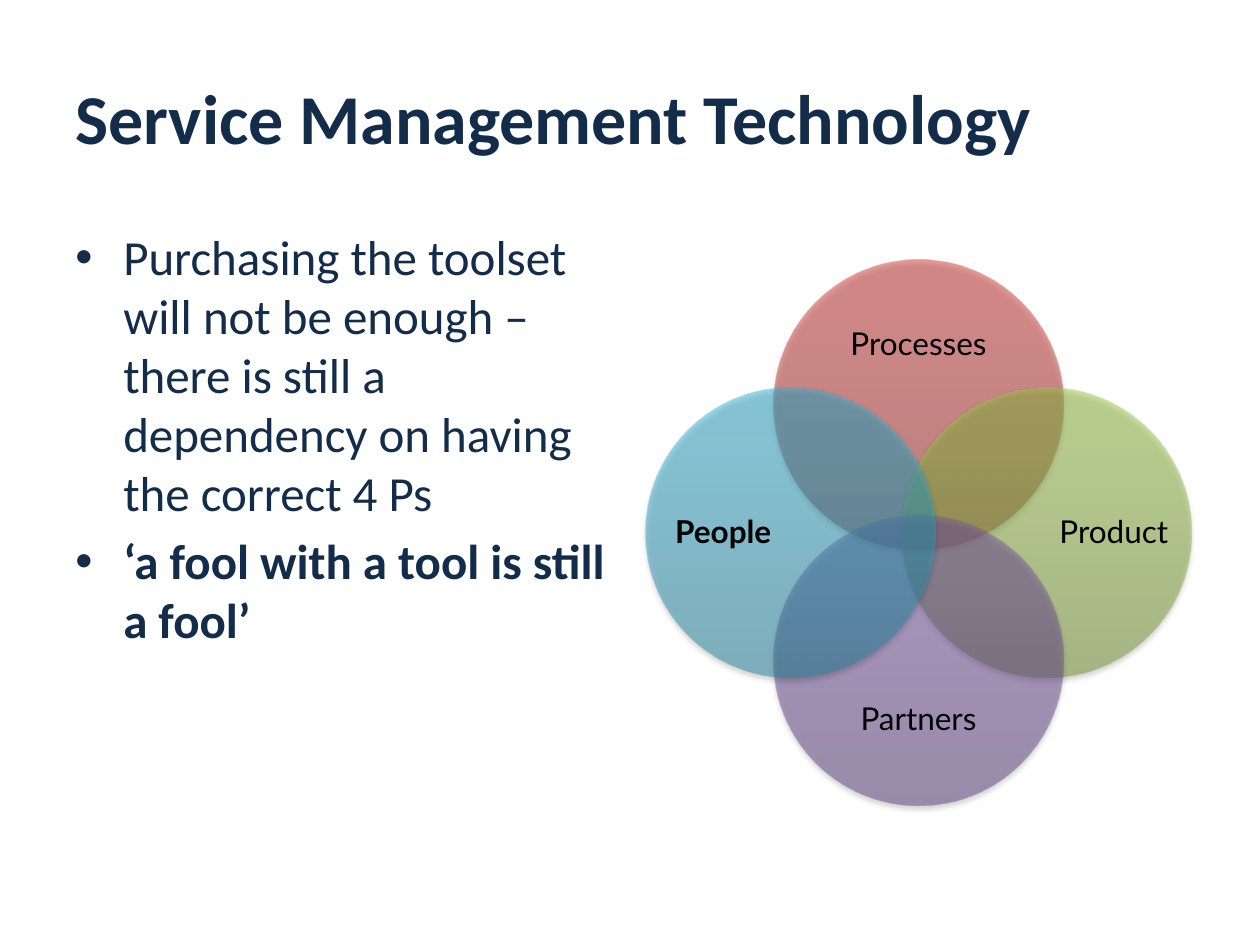
from dataclasses import dataclass

from lxml import etree
from pptx import Presentation
from pptx.dml.color import RGBColor
from pptx.enum.shapes import MSO_SHAPE
from pptx.enum.text import MSO_ANCHOR, PP_ALIGN
from pptx.oxml import parse_xml
from pptx.oxml.ns import nsdecls, qn
from pptx.util import Inches, Pt

OVAL = MSO_SHAPE.OVAL
TOP, MIDDLE = MSO_ANCHOR.TOP, MSO_ANCHOR.MIDDLE
LEFT, CENTER = PP_ALIGN.LEFT, PP_ALIGN.CENTER

# The page is a grid of 100 columns and 75 rows.
COLUMNS, ROWS = 100, 75
CELL = Inches(0.1)


@dataclass(frozen=True)
class Theme:
    navy: str = "132C4A"
    black: str = "000000"
    red: tuple = ("9C2F2D", "CB3E3A", "CE3B37")
    green: tuple = ("779737", "9BC348", "9DC746")
    purple: tuple = ("5F4480", "7B58A6", "7C57A8")
    blue: tuple = ("2A88A2", "37B1D2", "34B4D6")
    text_font: str = "Calibri"
    label_font: str = "Lato"
    title_size: float = 40
    body_size: float = 28
    label_size: float = 18


class SlideBuilder:
    def __init__(self, page, theme):
        self.page = page
        self.theme = theme

    def text_box(self, shapes, area, anchor, inset=True):
        box = shapes.add_textbox(*(round(n * CELL) for n in area))
        frame = box.text_frame
        frame.word_wrap = True
        frame.vertical_anchor = anchor
        if not inset:
            frame.margin_left = frame.margin_right = 0
            frame.margin_top = frame.margin_bottom = 0
        return frame

    def add_span(self, para, text, size, font, color, bold=False, align=LEFT):
        para.alignment = align
        span = para.add_run()
        span.text = text
        span.font.size = Pt(size)
        span.font.name = font
        span.font.bold = bold
        span.font.color.rgb = RGBColor.from_string(color)

    def title(self, text, area):
        frame = self.text_box(self.page.shapes, area, MIDDLE)
        self.add_span(frame.paragraphs[0], text, self.theme.title_size,
                      self.theme.text_font, self.theme.navy, bold=True)

    def bullets(self, items, area):
        frame = self.text_box(self.page.shapes, area, TOP)
        for index, (text, bold) in enumerate(items):
            para = frame.add_paragraph() if index else frame.paragraphs[0]
            para.space_before = Pt(0.2 * self.theme.body_size)
            self.add_span(para, text, self.theme.body_size,
                          self.theme.text_font, self.theme.navy, bold)
            props = para._p.get_or_add_pPr()
            props.set("marL", str(Inches(0.38)))
            props.set("indent", str(-Inches(0.38)))
            etree.SubElement(props, qn("a:buFont")).set("typeface", "Arial")
            etree.SubElement(props, qn("a:buChar")).set("char", "•")

    def circle(self, shapes, center, radius, colors):
        """Draw a half-transparent circle, shaded from the bottom up."""
        x, y = center
        area = (x - radius, y - radius, 2 * radius, 2 * radius)
        shape = shapes.add_shape(OVAL, *(round(n * CELL) for n in area))
        shape.line.fill.background()
        shape.fill.background()
        shape.shadow.inherit = False
        stops = "".join(
            f'<a:gs pos="{share * 1000}"><a:srgbClr val="{color}">'
            f'<a:alpha val="50000"/></a:srgbClr></a:gs>'
            for share, color in zip((0, 80, 100), colors))
        props = shape._element.spPr
        props.replace(props.find(qn("a:noFill")), parse_xml(
            f'<a:gradFill {nsdecls("a")} rotWithShape="1"><a:gsLst>{stops}'
            '</a:gsLst><a:lin ang="16200000" scaled="0"/></a:gradFill>'))
        props.find(qn("a:effectLst")).append(parse_xml(
            f'<a:outerShdw {nsdecls("a")} blurRad="{Pt(3.1)}" '
            f'dist="{Pt(1.8)}" dir="5400000" rotWithShape="0">'
            f'<a:srgbClr val="{self.theme.black}"><a:alpha val="35000"/>'
            '</a:srgbClr></a:outerShdw>'))

    def label(self, shapes, text, center, size, bold):
        (x, y), (width, height) = center, size
        area = (x - width / 2, y - height / 2, width, height)
        frame = self.text_box(shapes, area, MIDDLE, inset=False)
        para = frame.paragraphs[0]
        para.line_spacing = 0.9
        para.space_after = Pt(0.35 * self.theme.label_size)
        self.add_span(para, text, self.theme.label_size,
                      self.theme.label_font, self.theme.black, bold, CENTER)

    def venn(self, circles, center, radius, offset):
        """Set overlapping circles around a center, one for each direction."""
        shapes = self.page.shapes.add_group_shape().shapes
        x, y = center
        for text, (dx, dy), colors, bold in circles:
            self.circle(shapes, (x + dx * offset, y + dy * offset),
                        radius, colors)
            reach, size = (15.5, (8.8, 17.7)) if dx else (14.9, (17.7, 7.3))
            self.label(shapes, text, (x + dx * reach, y + dy * reach),
                       size, bold)


def main():
    theme = Theme()
    deck = Presentation()
    deck.slide_width, deck.slide_height = COLUMNS * CELL, ROWS * CELL
    builder = SlideBuilder(deck.slides.add_slide(deck.slide_layouts[6]), theme)

    builder.title("Service Management Technology", (5, 3, 90, 12.5))
    builder.bullets([
        ("Purchasing the toolset will not be enough – there is still a "
         "dependency on having the correct 4 Ps", False),
        ("‘a fool with a tool is still a fool’", True),
    ], (5, 17.5, 44.2, 49.5))
    builder.venn([
        ("Processes", (0, -1), theme.red, False),
        ("Product", (1, 0), theme.green, False),
        ("Partners", (0, 1), theme.purple, False),
        ("People", (-1, 0), theme.blue, True),
    ], center=(72.9, 42.3), radius=11.5, offset=10.15)

    deck.save("out.pptx")


if __name__ == "__main__":
    main()
